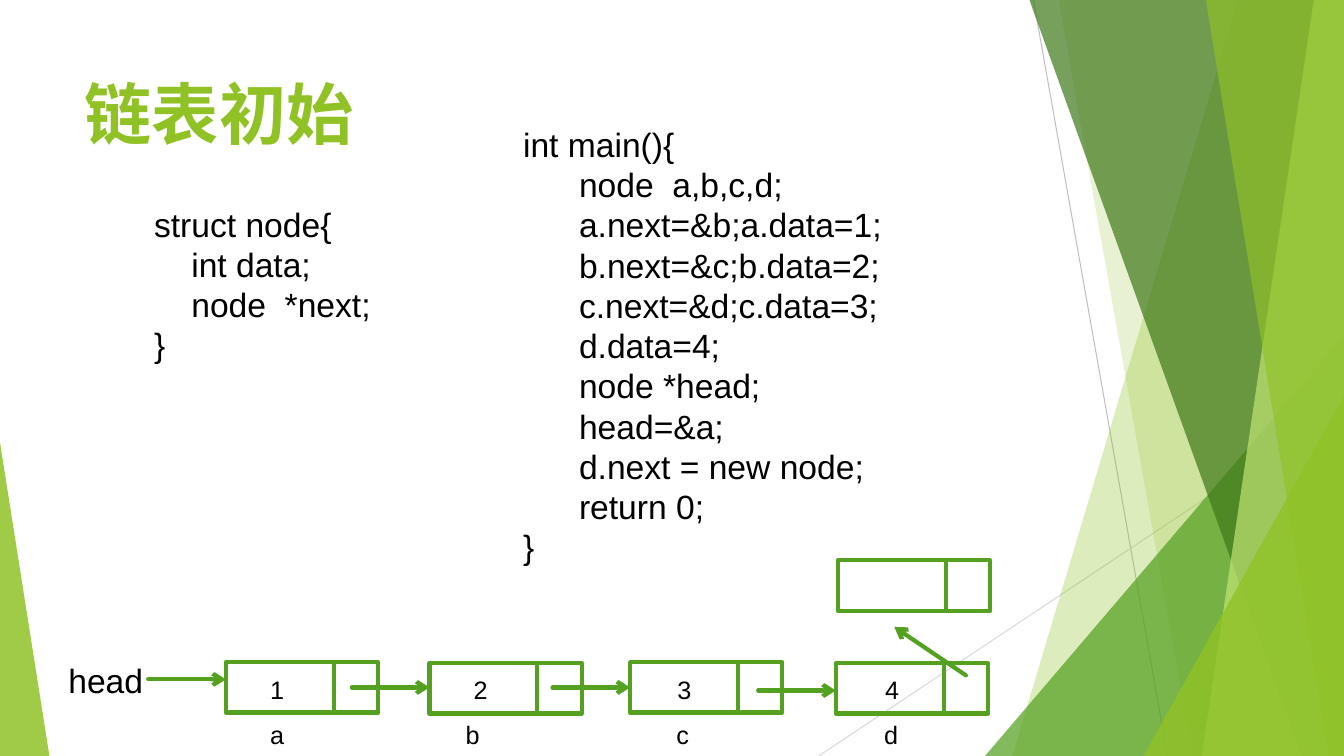
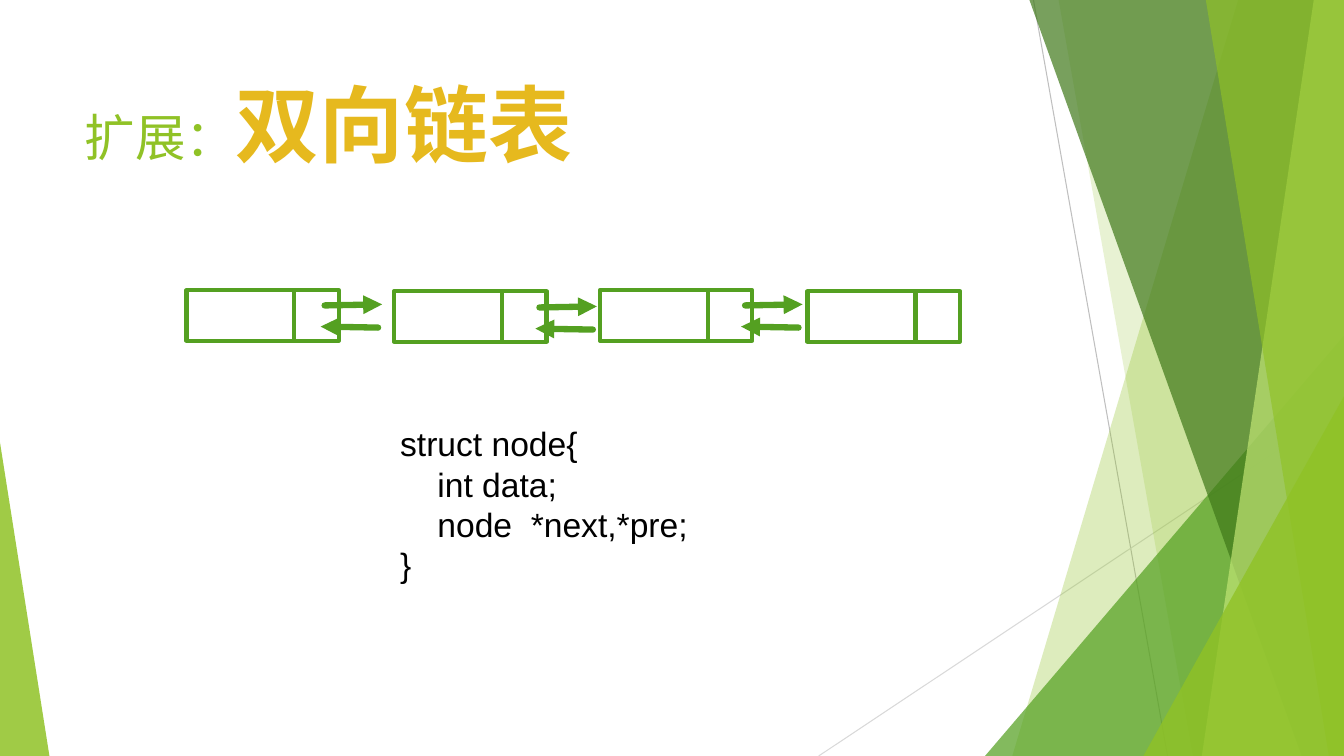
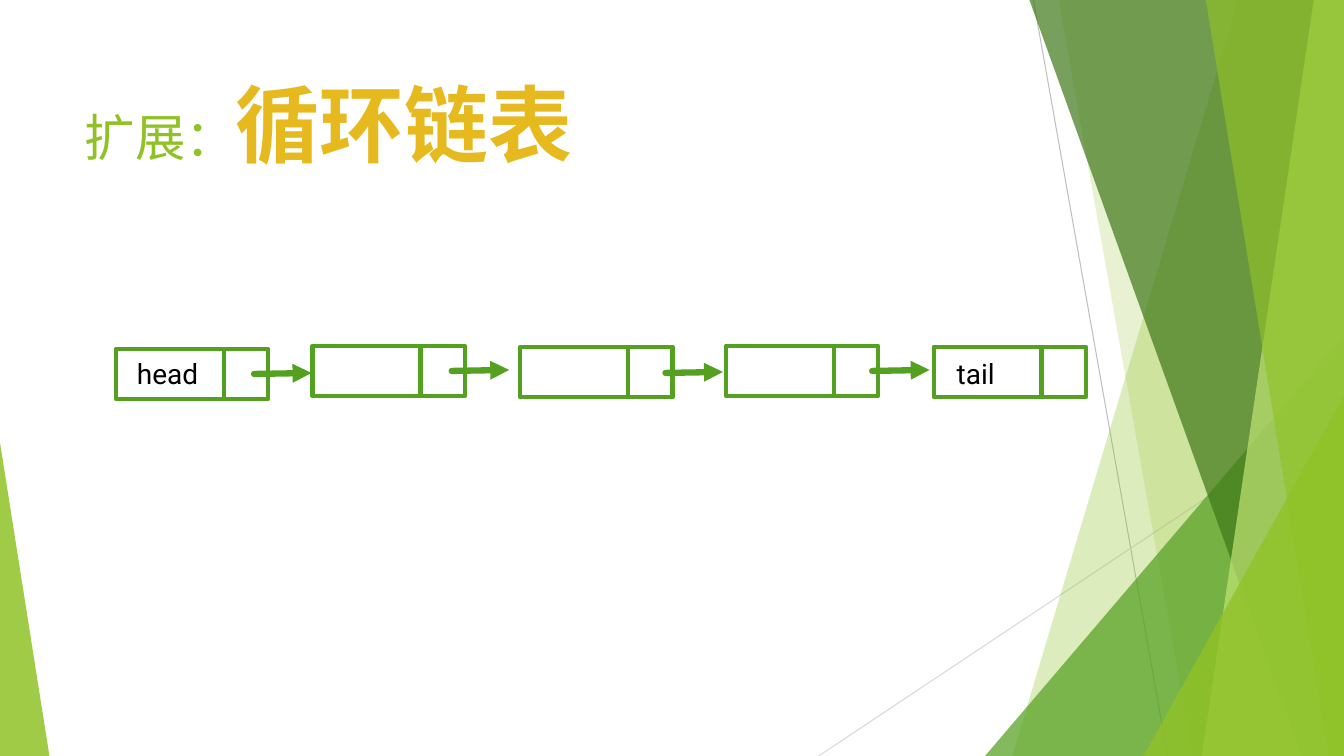
from lxml.etree import SubElement
from pptx import Presentation
from pptx.dml.color import RGBColor
from pptx.enum.shapes import MSO_CONNECTOR, MSO_SHAPE
from pptx.enum.text import MSO_ANCHOR, PP_ALIGN
from pptx.oxml.ns import qn
from pptx.util import Inches, Pt

WIDTH, HEIGHT = 13.33, 7.5
LIME, GREEN, DARK_GREEN, PALE_LIME = "90C226", "54A021", "3F7819", "C0E474"
GOLD, BLACK = "E6B91E", "000000"
NODE_WIDTH, NODE_HEIGHT, DATA_WIDTH = 1.51, 0.5, 1.07


def color(value):
    return RGBColor.from_string(value)


def paint(shape, fill, opacity):
    shape.shadow.inherit = False
    shape.line.fill.background()
    shape.fill.solid()
    shape.fill.fore_color.rgb = color(fill)
    tint = shape.element.spPr.find(".//" + qn("a:srgbClr"))
    SubElement(tint, qn("a:alpha")).set("val", str(opacity * 1000))


def add_line(shapes, start, end, stroke=GREEN, width=3, arrow=None):
    points = [Inches(value) for value in (*start, *end)]
    connector = shapes.add_connector(MSO_CONNECTOR.STRAIGHT, *points)
    connector.line.color.rgb = color(stroke)
    connector.line.width = Pt(width)
    if arrow:
        outline = connector.element.spPr.find(qn("a:ln"))
        outline.set("cap", "rnd")
        SubElement(outline, qn("a:tailEnd")).set("type", arrow)
    SubElement(connector.element.spPr, qn("a:effectLst"))


def add_band(shapes, points, fill, opacity):
    start, *others = [(Inches(x), Inches(y)) for x, y in points]
    builder = shapes.build_freeform(*start, scale=1.0)
    builder.add_line_segments(others, close=True)
    paint(builder.convert_to_shape(), fill, opacity)


def add_triangle(shapes, left, top, width, apex, fill, opacity):
    box = [Inches(value) for value in (left, top, width, HEIGHT - top)]
    shape = shapes.add_shape(MSO_SHAPE.ISOSCELES_TRIANGLE, *box)
    shape.adjustments[0] = apex
    paint(shape, fill, opacity)


def add_backdrop(slide, layout):
    group = slide.shapes.add_group_shape()
    shapes = group.shapes

    def edge_band(top_left, bottom_left, fill, opacity):
        corners = [(top_left, 0), (WIDTH, 0), (WIDTH, HEIGHT), (bottom_left, HEIGHT)]
        add_band(shapes, corners, fill, opacity)

    add_line(shapes, (10.25, 0), (11.58, HEIGHT), "BFBFBF", 0.75)
    add_line(shapes, (WIDTH, 4.03), (8.12, HEIGHT), "D9D9D9", 0.75)
    edge_band(12.28, 10.04, LIME, 30)
    edge_band(10.5, 11.83, LIME, 20)
    add_triangle(shapes, 9.77, 3.33, 3.56, 1, GREEN, 72)
    edge_band(10.21, 12.91, DARK_GREEN, 70)
    edge_band(13.03, 11.92, PALE_LIME, 70)
    edge_band(11.96, 13.18, LIME, 65)
    add_triangle(shapes, 11.34, 3.93, 1.99, 1, LIME, 80)
    add_triangle(shapes, 0, 4.39, 0.49, 0, LIME, 85)

    tree = layout.shapes.element
    tree.insert(2, group.element)
    for number, properties in enumerate(tree.iter(qn("p:cNvPr")), 1):
        properties.set("id", str(number))


def style_title(layout):
    title = layout.placeholders[0]
    title.left, title.top = Inches(0.74), Inches(0.67)
    title.width, title.height = Inches(9.4), Inches(1.44)
    title.text_frame.vertical_anchor = MSO_ANCHOR.TOP


def set_title(slide, *parts):
    paragraph = slide.shapes.title.text_frame.paragraphs[0]
    paragraph.alignment = PP_ALIGN.LEFT
    for text, size, fill, bold in parts:
        run = paragraph.add_run()
        run.text = text
        run.font.size = Pt(size)
        run.font.bold = bold
        run.font.name = "Roboto"
        run.font.color.rgb = color(fill)
        SubElement(run.font._element, qn("a:ea")).set("typeface", "Roboto")


def set_extension_title(slide, topic):
    set_title(slide, ("扩展：", 36, LIME, False), (topic, 60, GOLD, True))


def add_text(slide, box, lines, size, font="Arial", spacing=None, tabs=()):
    shape = slide.shapes.add_textbox(*[Inches(value) for value in box])
    frame = shape.text_frame
    frame.word_wrap = True
    for index, line in enumerate(lines):
        paragraph = frame.paragraphs[0] if index == 0 else frame.add_paragraph()
        paragraph.text = line
        if spacing:
            paragraph.line_spacing = Pt(spacing)
        if tabs:
            stops = SubElement(paragraph._p.get_or_add_pPr(), qn("a:tabLst"))
            for position in tabs:
                stop = SubElement(stops, qn("a:tab"))
                stop.set("pos", str(Inches(position)))
                stop.set("algn", "l")
        paragraph.font.size = Pt(size)
        paragraph.font.name = font
        paragraph.font.color.rgb = color(BLACK)


def add_code(slide, box, lines):
    add_text(slide, box, lines, 24, spacing=28.75)


def add_node(slide, left, top):
    shapes = slide.shapes.add_group_shape().shapes
    box = [Inches(value) for value in (left, top, NODE_WIDTH, NODE_HEIGHT)]
    frame = shapes.add_shape(MSO_SHAPE.RECTANGLE, *box)
    frame.shadow.inherit = False
    frame.fill.background()
    frame.line.color.rgb = color(GREEN)
    frame.line.width = Pt(3)
    divider = left + DATA_WIDTH
    add_line(shapes, (divider, top), (divider, top + NODE_HEIGHT))


def add_link(slide, left, top, length=0.57, backward=False):
    start, end = (left, top + 0.01), (left + length, top)
    if backward:
        start, end = (left + length, top + 0.01), (left, top)
    add_line(slide.shapes, start, end, width=4.5, arrow="triangle")


def build_initial_list(slide):
    set_title(slide, ("链表初始", 48, LIME, True))
    add_code(slide, (1.43, 1.97, 3.06, 1.72), [
        "struct node{",
        "    int data;",
        "    node  *next;",
        "}",
    ])
    add_code(slide, (5.09, 1.18, 4.47, 4.54), [
        "int main(){",
        "      node  a,b,c,d;",
        "      a.next=&b;a.data=1;",
        "      b.next=&c;b.data=2;",
        "      c.next=&d;c.data=3;",
        "      d.data=4;",
        "      node *head;",
        "      head=&a;",
        "      d.next = new node;",
        "      return 0;",
        "}",
    ])
    nodes = [(2.24, 6.57, 2.58), (4.26, 6.58, 4.6), (6.25, 6.57, 6.62), (8.29, 6.58, 8.68)]
    for number, (left, top, value_left) in enumerate(nodes, 1):
        add_node(slide, left, top)
        add_text(slide, (value_left, 6.64, 0.41, 0.4), [str(number)], 18)
    add_node(slide, 8.31, 5.56)
    add_text(slide, (2.58, 7.09, 6.77, 0.4), ["a\tb\tc\td"], 18, tabs=(1.94, 4.03, 6.09))
    add_text(slide, (0.58, 6.5, 0.95, 0.5), ["head"], 24)
    for end, y in [(2.24, 6.74), (4.26, 6.82), (6.25, 6.82), (8.29, 6.85)]:
        add_line(slide.shapes, (end - 0.77, y), (end, y), arrow="arrow")
    add_line(slide.shapes, (9.58, 6.7), (8.87, 6.22), arrow="arrow")


def build_double_list(slide):
    set_extension_title(slide, "双向链表")
    for left, top in [(1.85, 2.88), (3.91, 2.89), (5.95, 2.88), (8.01, 2.89)]:
        add_node(slide, left, top)
    for left, top in [(3.22, 3.02), (5.35, 3.04), (7.39, 3.02)]:
        add_link(slide, left, top)
        add_link(slide, left - 0.04, top + 0.22, backward=True)
    add_code(slide, (3.87, 4.15, 3.52, 1.72), [
        "struct node{",
        "    int data;",
        "    node  *next,*pre;",
        "}",
    ])


def build_circular_list(slide):
    set_extension_title(slide, "循环链表")
    for left, top in [(1.15, 3.46), (3.1, 3.43), (5.16, 3.44), (7.2, 3.43), (9.26, 3.44)]:
        add_node(slide, left, top)
    for left, top in [(2.52, 3.7), (4.48, 3.67), (6.6, 3.69), (8.65, 3.67)]:
        add_link(slide, left, top)
    for left, label in [(1.26, "head"), (9.39, "tail")]:
        add_text(slide, (left, 3.49, 0.97, 0.44), [label], 20, font="Roboto")


def main():
    presentation = Presentation()
    presentation.slide_width = Inches(WIDTH)
    presentation.slide_height = Inches(HEIGHT)
    layout = presentation.slide_layouts[5]
    style_title(layout)
    builders = [build_initial_list, build_double_list, build_circular_list]
    slides = [presentation.slides.add_slide(layout) for _ in builders]
    add_backdrop(slides[0], layout)
    for build, slide in zip(builders, slides):
        build(slide)
    presentation.save("out.pptx")


if __name__ == "__main__":
    main()
